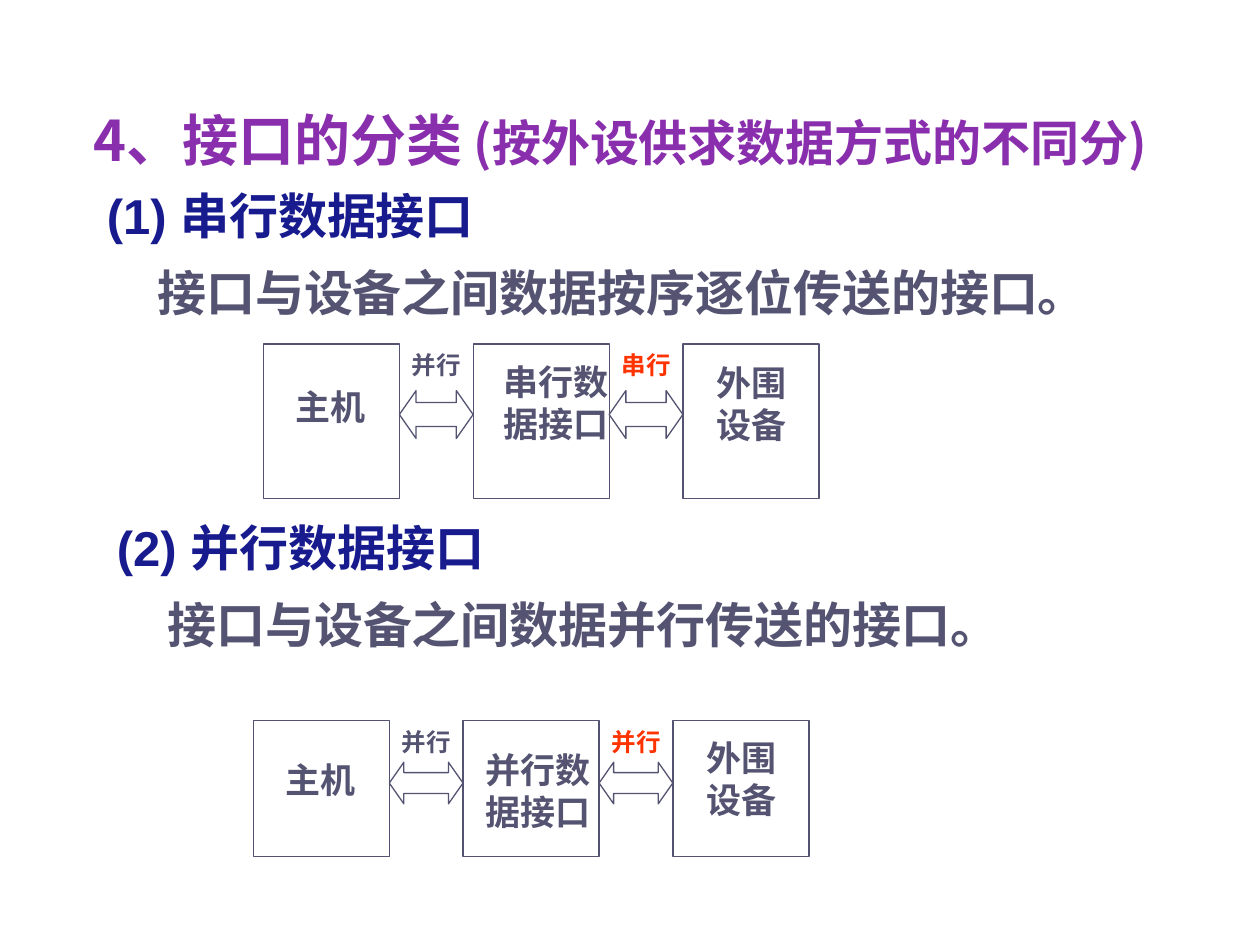
from pptx import Presentation
from pptx.dml.color import RGBColor
from pptx.enum import shapes as es, text as et
from pptx.util import Inches, Pt

PURPLE, NAVY, GRAY, RED = "892FAD", "181B8E", "545472", "FF3300"
SANS, SERIF, LATIN = "Noto Sans CJK SC", "Times New Roman", "Arial"
BOX, STEP = 1.08, 1.665  # box width and box-to-box distance


def rgb(code):
    return RGBColor.from_string(code)


def style(run, size, color, face):
    font = run.font
    font.size, font.bold, font.name = Pt(size), True, face
    font.color.rgb = rgb(color)
    # East Asian typeface follows the Latin one
    latin = run._r.get_or_add_rPr().find("{*}latin")
    ea = latin.makeelement(latin.tag.replace("latin", "ea"), {"typeface": SANS})
    latin.addnext(ea)


def add_run(para, words, size, color, face):
    run = para.add_run()
    run.text = words
    style(run, size, color, face)


def add_title(slide, parts):
    title = slide.shapes.title
    title.left, title.top = Inches(0.42), Inches(0.75)
    title.width, title.height = Inches(9), Inches(0.67)
    frame = title.text_frame
    frame.word_wrap = False
    frame.auto_size = et.MSO_AUTO_SIZE.NONE
    frame.vertical_anchor = et.MSO_ANCHOR.BOTTOM
    para = frame.paragraphs[0]
    para.alignment = et.PP_ALIGN.CENTER
    for words, size in parts:
        add_run(para, words, size, PURPLE, SANS)


def add_section(slide, x, y, w, h, mark, head, body):
    frame = slide.shapes.add_textbox(Inches(x), Inches(y), Inches(w), Inches(h)).text_frame
    frame.word_wrap = True
    first, second = frame.paragraphs[0], frame.add_paragraph()
    add_run(first, mark + " ", 28, NAVY, LATIN)
    add_run(first, head, 28, NAVY, SANS)
    add_run(second, body, 28, GRAY, SERIF)
    second.space_before = Pt(10.5)
    second._p.get_or_add_pPr().set("marL", str(Inches(0.4)))


def add_label(group, x, y, w, h, words, size=20, color=GRAY):
    frame = group.shapes.add_textbox(Inches(x), Inches(y), Inches(w), Inches(h)).text_frame
    frame.word_wrap = False
    frame.auto_size = et.MSO_AUTO_SIZE.SHAPE_TO_FIT_TEXT
    frame.text = words
    for para in frame.paragraphs:
        style(para.runs[0], size, color, SERIF)


def add_outline(group, kind, x, y, w, h):
    shape = group.shapes.add_shape(kind, Inches(x), Inches(y), Inches(w), Inches(h))
    shape.shadow.inherit = False
    shape.fill.background()
    shape.line.color.rgb = rgb(GRAY)
    shape.line.width = Pt(0.75)
    return shape


def add_diagram(slide, x, y, high, arrow, links, nodes):
    group = slide.shapes.add_group_shape()
    # Three boxes with their captions
    for i, (words, dx, dy, w, h) in enumerate(nodes):
        left = x + i * STEP
        add_outline(group, es.MSO_SHAPE.RECTANGLE, left, y, BOX, high)
        add_label(group, left + dx, y + dy, w, h, words)
    # Two-way arrows in the gaps
    for i, (words, color) in enumerate(links):
        left = x + BOX + i * STEP
        dy, h = arrow
        shape = add_outline(group, es.MSO_SHAPE.LEFT_RIGHT_ARROW, left, y + dy, STEP - BOX, h)
        shape.adjustments[1] = 0.35
        add_label(group, left, y, 0.59, 0.33, words, 14, color)


def main():
    deck = Presentation()
    deck.slide_width, deck.slide_height = Inches(10), Inches(7.5)
    slide = deck.slides.add_slide(deck.slide_layouts[5])
    add_title(slide, [("4、接口的分类", 32), (" (按外设供求数据方式的不同分)", 28)])

    # Serial interface
    add_section(slide, 0.75, 1.42, 8.5, 1.42, "(1)", "串行数据接口",
                "接口与设备之间数据按序逐位传送的接口。")
    add_diagram(slide, 2.09, 2.73, 1.23, (0.37, 0.38),
                [("并行", GRAY), ("串行", RED)],
                [("主机", 0.16, 0.28, 0.76, 0.43),
                 ("串行数\n据接口", 0.14, 0.08, 1.06, 0.77),
                 ("外围\n设备", 0.17, 0.09, 0.76, 0.77)])

    # Parallel interface
    add_section(slide, 0.83, 4.06, 7.31, 1.21, "(2)", "并行数据接口",
                "接口与设备之间数据并行传送的接口。")
    add_diagram(slide, 2.01, 5.72, 1.08, (0.33, 0.33),
                [("并行", GRAY), ("并行", RED)],
                [("主机", 0.16, 0.25, 0.76, 0.43),
                 ("并行数\n据接口", 0.08, 0.17, 1.06, 0.77),
                 ("外围\n设备", 0.17, 0.08, 0.76, 0.77)])
    deck.save("out.pptx")


if __name__ == "__main__":
    main()
